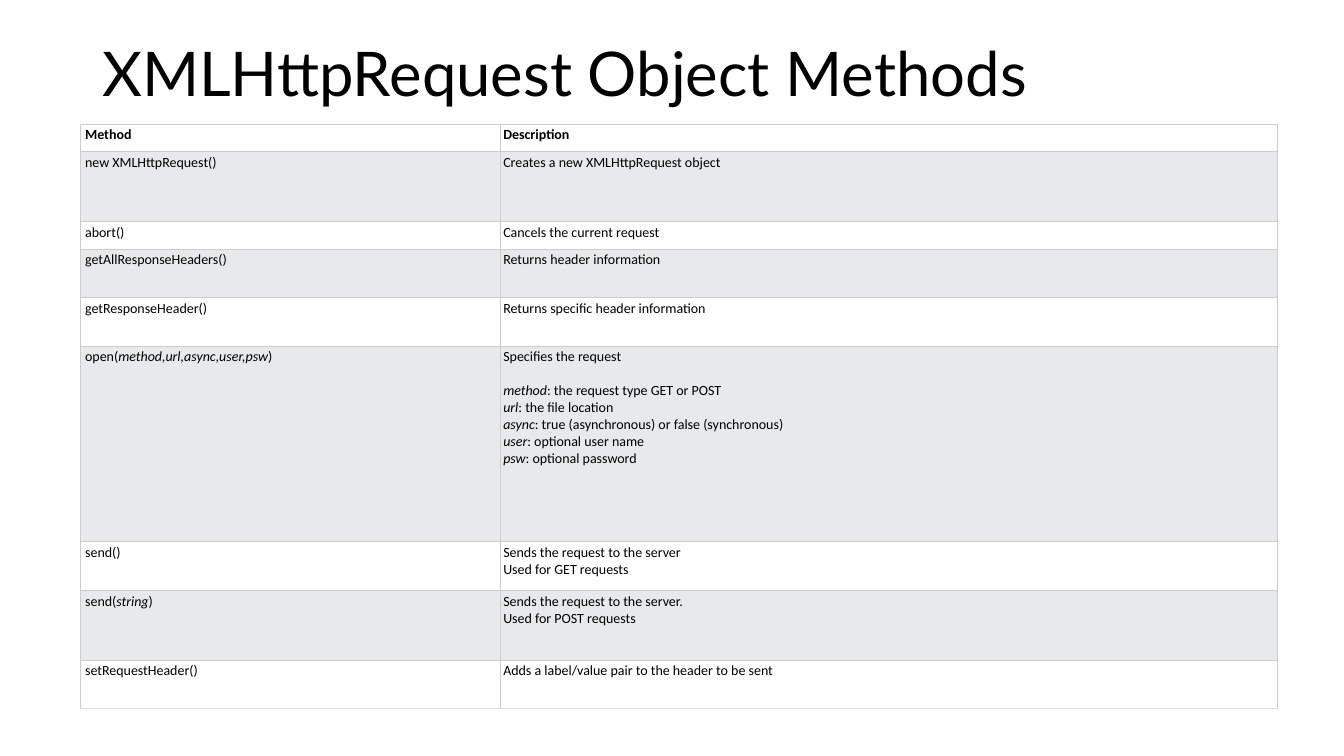
"""Build the slide listing the XMLHttpRequest object methods in a table."""
from dataclasses import dataclass

from lxml import etree
from pptx import Presentation
from pptx.dml import color
from pptx.enum import text
from pptx.oxml import ns
from pptx.util import Pt

BLACK, WHITE, BAND = "000000", "FFFFFF", "E7E9EB"
GRID, BOTTOM_EDGE = "CCCCCC", "DDDDDD"
TITLE_FORMAT = {"name": "Lato", "size": Pt(44), "bold": False}
CELL_FORMAT = {"name": "Calibri", "size": Pt(10)}
COLUMN_WIDTHS = (300.6, 554.4)
LEFT_INSETS = (3.8, 1.9)
SHORT, MEDIUM, TALL, TALLEST = 19.7, 34.7, 49.75, 139.8


@dataclass
class MethodRow:
    """A table row; asterisks enclose italic words."""
    method: str
    description: list[str]
    height: float
    details: tuple[str, ...] = ()


ROWS = [
    MethodRow("Method", ["Description"], SHORT),
    MethodRow("new XMLHttpRequest()", ["Creates a new XMLHttpRequest object"], TALL),
    MethodRow("abort()", ["Cancels the current request"], SHORT),
    MethodRow("getAllResponseHeaders()", ["Returns header information"], MEDIUM),
    MethodRow("getResponseHeader()", ["Returns specific header information"], MEDIUM),
    MethodRow("open(*method,url,async,user,psw*)", ["Specifies the request"], TALLEST, (
        "*method*: the request type GET or POST",
        "*url*: the file location",
        "*async*: true (asynchronous) or false (synchronous)",
        "*user*: optional user name",
        "*psw*: optional password",
    )),
    MethodRow("send()", ["Sends the request to the server", "Used for GET requests"], MEDIUM),
    MethodRow("send(*string*)", ["Sends the request to the server.", "Used for POST requests"], TALL),
    MethodRow("setRequestHeader()", ["Adds a label/value pair to the header to be sent"], MEDIUM),
]


def rgb(value: str) -> color.RGBColor:
    """Turn a hex string into a colour."""
    return color.RGBColor.from_string(value)


def set_format(target, values: dict) -> None:
    """Set each named attribute on the target."""
    for name, value in values.items():
        setattr(target, name, value)


def add_span(para, words: str, values: dict) -> None:
    """Add a formatted black run to the paragraph."""
    span = para.add_run()
    span.text = words
    set_format(span.font, values)
    span.font.color.rgb = rgb(BLACK)


def write_lines(frame, lines: list[str], bold: bool, gap_before: int | None = None) -> None:
    """Write one paragraph per line, with a gap before the given one."""
    for index, line in enumerate(lines):
        para = frame.add_paragraph() if index else frame.paragraphs[0]
        if index == gap_before:
            para.space_before = Pt(12.2)
        for part, words in enumerate(line.split("*")):
            if words:
                add_span(para, words, {**CELL_FORMAT, "bold": bold, "italic": part % 2 == 1})


def add_borders(cell, bottom: str) -> None:
    """Draw thin lines on all four sides of the cell."""
    properties = cell._tc.get_or_add_tcPr()
    for side, hex_color in (("L", GRID), ("R", GRID), ("T", GRID), ("B", bottom)):
        line = etree.SubElement(properties, ns.qn(f"a:ln{side}"), w=str(Pt(0.43)))
        fill = etree.SubElement(line, ns.qn("a:solidFill"))
        etree.SubElement(fill, ns.qn("a:srgbClr"), val=hex_color)


def add_title(page) -> None:
    """Add the slide title."""
    box = page.shapes.add_textbox(Pt(66), Pt(28.8), Pt(828), Pt(104.4))
    set_format(box.text_frame, {"word_wrap": True, "margin_top": Pt(2.4),
                                "vertical_anchor": text.MSO_ANCHOR.TOP})
    para = box.text_frame.paragraphs[0]
    para.line_spacing = 0.9
    add_span(para, "XMLHttpRequest Object Methods", TITLE_FORMAT)


def add_methods_table(page) -> None:
    """Add the table of methods and descriptions."""
    table = page.shapes.add_table(
        len(ROWS), len(COLUMN_WIDTHS), Pt(57), Pt(88.6),
        Pt(sum(COLUMN_WIDTHS)), Pt(sum(row.height for row in ROWS))).table
    set_format(table, {"first_row": True, "horz_banding": False})
    for column, width in zip(table.columns, COLUMN_WIDTHS):
        column.width = Pt(width)
    for index, row in enumerate(ROWS):
        table.rows[index].height = Pt(row.height)
        contents = ([row.method], [*row.description, *row.details])
        for column, lines in enumerate(contents):
            cell = table.cell(index, column)
            set_format(cell, {"margin_left": Pt(LEFT_INSETS[column]), "margin_right": Pt(1.9),
                              "margin_top": Pt(1.9), "margin_bottom": Pt(1.9),
                              "vertical_anchor": text.MSO_ANCHOR.TOP})
            add_borders(cell, BOTTOM_EDGE if index == len(ROWS) - 1 else GRID)
            cell.fill.solid()
            cell.fill.fore_color.rgb = rgb(BAND if index % 2 else WHITE)
            gap = len(row.description) if row.details else None
            write_lines(cell.text_frame, lines, index == 0, gap)


def main() -> None:
    """Build and save the deck."""
    deck = Presentation()
    set_format(deck, {"slide_width": Pt(960), "slide_height": Pt(540)})
    page = deck.slides.add_slide(deck.slide_layouts[6])
    add_title(page)
    add_methods_table(page)
    deck.save("out.pptx")


if __name__ == "__main__":
    main()
